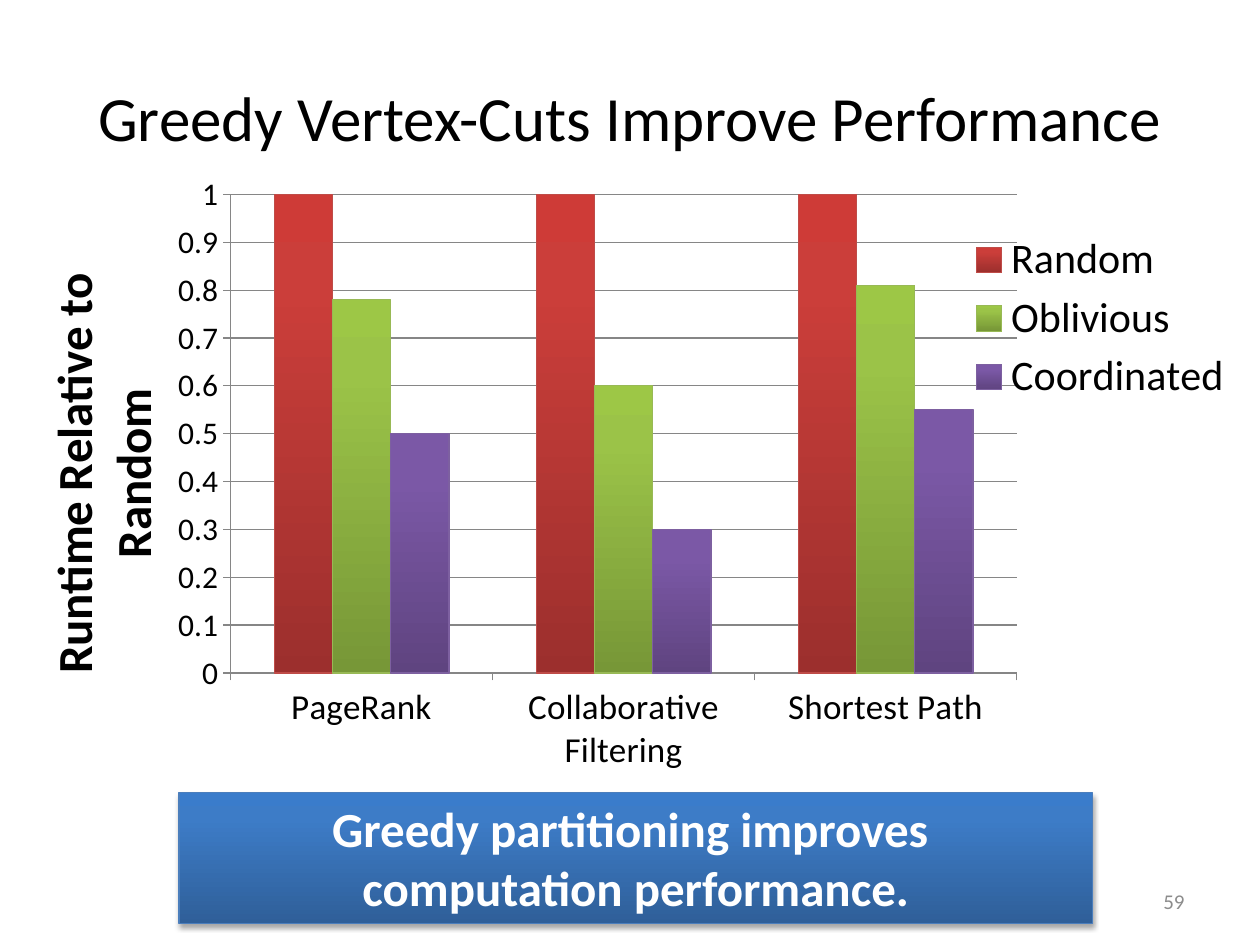
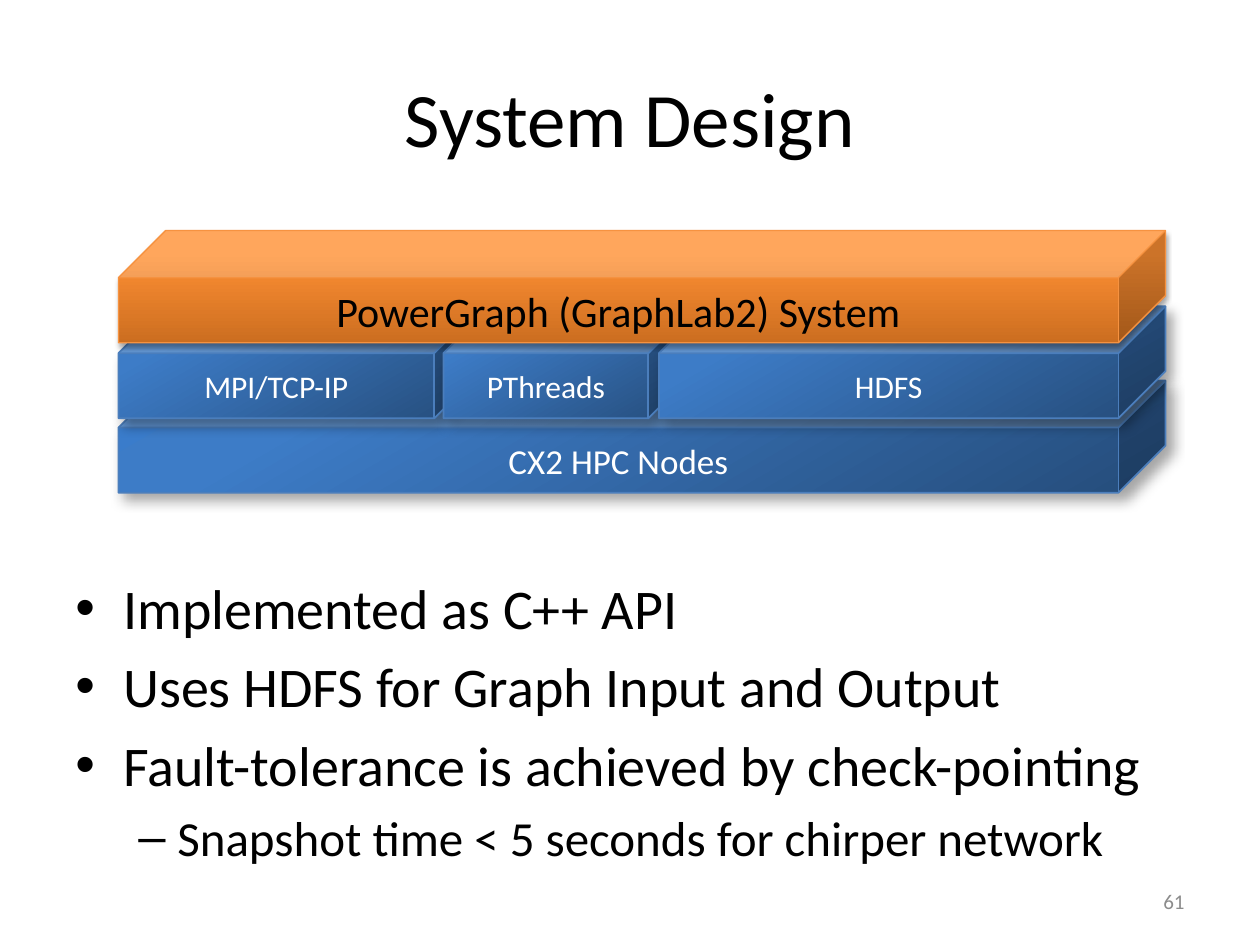
from lxml import etree
from pptx import Presentation
from pptx.chart.data import CategoryChartData
from pptx.dml.color import RGBColor
from pptx.enum.chart import XL_CHART_TYPE, XL_LEGEND_POSITION, XL_TICK_MARK
from pptx.enum.shapes import MSO_SHAPE
from pptx.enum.text import MSO_ANCHOR, PP_ALIGN
from pptx.oxml import parse_xml
from pptx.oxml.ns import nsdecls, qn
from pptx.util import Inches, Pt

# Shared style: a grid of 100 columns by 75 rows
CELL = Inches(0.1)
FONT = "Calibri"
BLACK, WHITE, GREY, AXIS = "000000", "FFFFFF", "8C8C8C", "868686"
BLUE = ("2F5F99", "3D7CC7", "3A7CCB")
DEEP_BLUE = ("254C7A", "3D7CC7", "3A7CCB")
ORANGE = ("CC6E20", "FF9034", "FF9136")
BLUE_LINE, ORANGE_LINE = "4B7EBC", "F69240"
SOFT_SHADOW, WIDE_SHADOW = (3.1, 1.8, 90), (7, 5, 50)  # blur, distance, angle
rgb = RGBColor.from_string

places = {
    "title": (5, 3, 90, 12.5),
    "number": (71.7, 69.5, 23.3, 4),
    "chart": (2.5, 13.3, 97.5, 52.1),
    "banner": (14.2, 62.9, 72.5, 10.4),
    "body": (5, 45, 90, 25),
}
places = {name: [round(n * CELL) for n in cells] for name, cells in places.items()}


def write(p, text, size, color=BLACK, bold=False, align=None):
    p.alignment = align
    for i, line in enumerate(text.split("\n")):
        if i:
            p.add_line_break()
        r = p.add_run()
        r.text = line
        r.font.name, r.font.size, r.font.bold = FONT, Pt(size), bold
        r.font.color.rgb = rgb(color)


def paint(owner, spPr, stops, angle, line, width, shadow=None):
    """Gradient fill, outline and optional drop shadow."""
    owner.line.color.rgb = rgb(line)
    owner.line.width = Pt(width)
    gs = "".join(f'<a:gs pos="{pos}000"><a:srgbClr val="{c}"/></a:gs>'
                 for pos, c in zip((0, 80, 100), stops))
    spPr.find(qn("a:ln")).addprevious(parse_xml(
        f'<a:gradFill {nsdecls("a")} rotWithShape="1"><a:gsLst>{gs}</a:gsLst>'
        f'<a:lin ang="{angle * 60000}" scaled="0"/></a:gradFill>'))
    if shadow:
        owner.shadow.inherit = False
        blur, dist, turn = shadow
        spPr.find(qn("a:effectLst")).append(parse_xml(
            f'<a:outerShdw {nsdecls("a")} blurRad="{Pt(blur)}" dist="{Pt(dist)}" '
            f'dir="{turn * 60000}" rotWithShape="0"><a:srgbClr val="000000">'
            f'<a:alpha val="35000"/></a:srgbClr></a:outerShdw>'))


prs = Presentation()
prs.slide_width, prs.slide_height = 100 * CELL, 75 * CELL

# Titles and slide numbers
slides = []
for title, size, number in (("Greedy Vertex-Cuts Improve Performance", 36, "59"),
                            ("System Design", 44, "61")):
    s = prs.slides.add_slide(prs.slide_layouts[6])
    for name, text, pt, color, align in (
            ("title", title, size, BLACK, PP_ALIGN.CENTER),
            ("number", number, 12, GREY, PP_ALIGN.RIGHT)):
        tf = s.shapes.add_textbox(*places[name]).text_frame
        tf.word_wrap = True
        tf.vertical_anchor = MSO_ANCHOR.MIDDLE
        write(tf.paragraphs[0], text, pt, color, align=align)
    slides.append(s)
performance, design = slides

# Slide 1: runtime chart
series = (
    ("Random", (1, 1, 1), ("9C2F2D", "CB3E3A", "CE3B37"), "BF4C48"),
    ("Oblivious", (0.78, 0.6, 0.81), ("779737", "9BC348", "9DC746"), "98B955"),
    ("Coordinated", (0.5, 0.3, 0.55), ("5F4480", "7B58A6", "7C57A8"), "7D60A0"),
)
data = CategoryChartData()
data.categories = ["PageRank", "Collaborative Filtering", "Shortest Path"]
for name, values, *_ in series:
    data.add_series(name, values)
chart = performance.shapes.add_chart(
    XL_CHART_TYPE.COLUMN_CLUSTERED, *places["chart"], data).chart
chart.has_title = False
chart.font.name, chart.font.size = FONT, Pt(18)
chart.font.color.rgb = rgb(BLACK)
plot = chart.plots[0]
plot.gap_width, plot.overlap, plot.vary_by_categories = 150, 0, False
for ser, (_, _, stops, line) in zip(plot.series, series):
    ser.format.line.width = Pt(0.75)
    paint(ser.format, ser._element.find(qn("c:spPr")), stops, 270, line, 0.75)

# Axes
cat_axis, val_axis = chart.category_axis, chart.value_axis
val_axis.minimum_scale, val_axis.maximum_scale, val_axis.major_unit = 0, 1, 0.1
val_axis.has_major_gridlines = True
for part in (cat_axis, val_axis, val_axis.major_gridlines):
    part.format.line.color.rgb = rgb(AXIS)
    part.format.line.width = Pt(0.75)
for axis, size in ((cat_axis, 20), (val_axis, 18)):
    axis.major_tick_mark = XL_TICK_MARK.OUTSIDE
    axis.tick_labels.font.size = Pt(size)
tf = val_axis.axis_title.text_frame
write(tf.paragraphs[0], "Runtime Relative to Random", 28, bold=True)
body_pr = tf._txBody.find(qn("a:bodyPr"))
body_pr.set("rot", "-5400000")
body_pr.set("vert", "horz")

# Legend, and fixed places for plot and legend
chart.has_legend = True
chart.legend.position = XL_LEGEND_POSITION.RIGHT
chart.legend.include_in_layout = False
chart.legend.font.size = Pt(24)
chart.legend.font.name = FONT
plot_area = chart._chartSpace.chart.plotArea
for part, index, target, shares in (
        (plot_area, 0, '<c:layoutTarget val="inner"/>', (0.162, 0.041, 0.64, 0.729)),
        (chart.legend._element, 1, "", (0.75, 0.09, 0.24, 0.28))):
    for old in part.findall(qn("c:layout")):
        part.remove(old)
    layout = parse_xml(f'<c:layout {nsdecls("c")}><c:manualLayout>{target}'
                       '<c:xMode val="edge"/><c:yMode val="edge"/>'
                       '</c:manualLayout></c:layout>')
    for tag, share in zip("xywh", shares):
        etree.SubElement(layout[0], qn(f"c:{tag}")).set("val", str(share))
    part.insert(index, layout)

# Banner
sp = performance.shapes.add_shape(MSO_SHAPE.RECTANGLE, *places["banner"])
paint(sp, sp._element.spPr, BLUE, 270, BLUE_LINE, 0.75, SOFT_SHADOW)
tf = sp.text_frame
tf.word_wrap = True
tf.vertical_anchor = MSO_ANCHOR.TOP
write(tf.paragraphs[0], "Greedy partitioning improves \ncomputation performance.",
      28, WHITE, True, PP_ALIGN.CENTER)

# Slide 2: bullets
tf = design.shapes.add_textbox(*places["body"]).text_frame
tf.word_wrap = True
levels = (("•", 0.38, 0.38, 32), ("–", 0.81, 0.31, 28))
for i, (level, text) in enumerate((
        (0, "Implemented as C++ API"),
        (0, "Uses HDFS for Graph Input and Output"),
        (0, "Fault-tolerance is achieved by check-pointing"),
        (1, "Snapshot time < 5 seconds for chirper network"))):
    bullet, margin, hang, size = levels[level]
    p = tf.add_paragraph() if i else tf.paragraphs[0]
    p.level = level
    if i:
        p.space_before = Pt(size * 0.2)
    pPr = p._p.get_or_add_pPr()
    pPr.set("marL", str(Inches(margin)))
    pPr.set("indent", str(-Inches(hang)))
    etree.SubElement(pPr, qn("a:buFont")).set("typeface", "Arial")
    etree.SubElement(pPr, qn("a:buChar")).set("char", bullet)
    write(p, text, size)

# System stack, from the bottom layer up
blue_style = (DEEP_BLUE, 240, BLUE_LINE, 1, WIDE_SHADOW)
orange_style = (ORANGE, 270, ORANGE_LINE, 0.75, SOFT_SHADOW)
base = design.shapes.add_group_shape()
for parent, x, y, w, text, size, color, style in (
        (base, 9.4, 30.2, 83.1, "CX2 HPC Nodes", 20, WHITE, blue_style),
        (base, 9.4, 24.3, 28.8, "MPI/TCP-IP", 18, WHITE, blue_style),
        (base, 35.2, 24.3, 20, "PThreads", 18, WHITE, blue_style),
        (base, 52.3, 24.3, 40.2, "HDFS", 18, WHITE, blue_style),
        (design, 9.4, 18.3, 83.1, "PowerGraph (GraphLab2) System", 24, BLACK,
         orange_style)):
    sp = parent.shapes.add_shape(MSO_SHAPE.CUBE,
                                 *(round(n * CELL) for n in (x, y, w, 8.9)))
    sp.adjustments[0] = 0.42
    paint(sp, sp._element.spPr, *style)
    tf = sp.text_frame
    tf.word_wrap = True
    tf.vertical_anchor = MSO_ANCHOR.MIDDLE
    write(tf.paragraphs[0], text, size, color, align=PP_ALIGN.CENTER)

prs.save("out.pptx")
